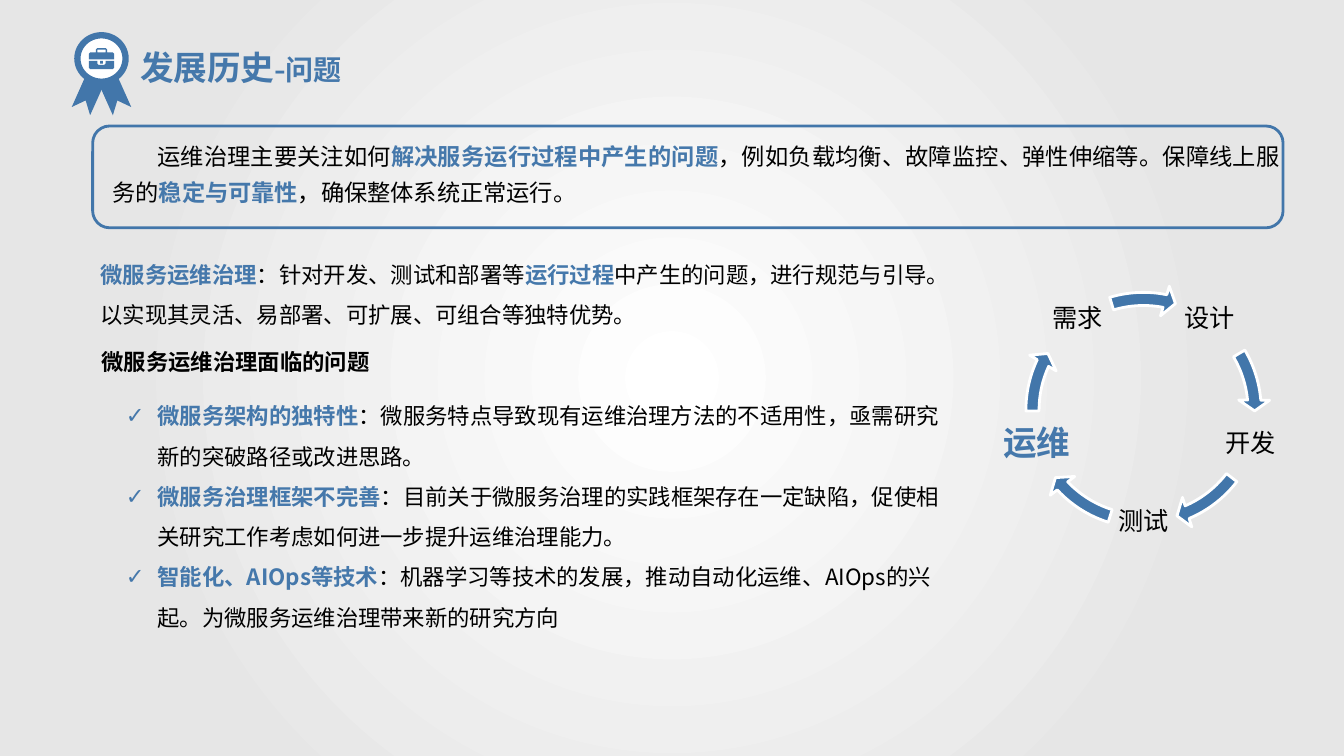
from math import cos, radians, sin

from lxml.etree import SubElement
from pptx import Presentation
from pptx.dml.color import RGBColor
from pptx.enum.shapes import MSO_SHAPE
from pptx.enum.text import MSO_ANCHOR, MSO_AUTO_SIZE, PP_ALIGN
from pptx.oxml.ns import qn
from pptx.util import Pt

BLUE = RGBColor(0x42, 0x76, 0xAA)
TEXT_BLUE = RGBColor(0x45, 0x78, 0xAB)
BLACK = RGBColor(0, 0, 0)
WHITE = RGBColor(0xFF, 0xFF, 0xFF)
GRAY = RGBColor(0xE6, 0xE6, 0xE6)
CJK = "Noto Sans CJK SC"
LATIN = "Times New Roman"

FRAME = {"word_wrap": True, "auto_size": MSO_AUTO_SIZE.NONE,
         "vertical_anchor": MSO_ANCHOR.TOP}
MARGINS = ("margin_left", "margin_top", "margin_right", "margin_bottom")


def apply(obj, formats):
    for name, value in formats.items():
        setattr(obj, name, value)


def points(*lengths):
    return [Pt(length) for length in lengths]


def add_run(p, text, size, color, bold, name=CJK):
    r = p.add_run()
    r.text = text
    apply(r.font, {"name": name, "size": Pt(size), "bold": bold})
    r.font.color.rgb = color
    SubElement(r.font._element, qn("a:ea"), typeface=CJK)


def add_mixed_runs(p, parts, size):
    """Add (text, highlighted) parts; highlighted ones are bold and blue."""
    for text, strong in parts:
        add_run(p, text, size, TEXT_BLUE if strong else BLACK, strong)


def add_textbox(shapes, box, **frame):
    tf = shapes.add_textbox(*points(*box)).text_frame
    apply(tf, {**FRAME, **frame})
    return tf.paragraphs[0]


def add_shape(shapes, kind, box, fill=None, line=None, width=0, adjust=()):
    sp = shapes.add_shape(kind, *points(*box))
    style_shape(sp, fill, line, width)
    for i, value in enumerate(adjust):
        sp.adjustments[i] = value
    return sp


def style_shape(sp, fill=None, line=None, width=0):
    sp.shadow.inherit = False
    if fill is None:
        sp.fill.background()
    else:
        sp.fill.solid()
        sp.fill.fore_color.rgb = fill
    if line is None:
        sp.line.fill.background()
    else:
        sp.line.color.rgb = line
        sp.line.width = Pt(width)


def set_background(slide):
    """Radial gradient, white in the middle."""
    fill = slide.background.fill
    fill.gradient()
    for stop, position, color in zip(fill.gradient_stops, (0, 0.73), (WHITE, GRAY)):
        stop.position = position
        stop.color.rgb = color
    grad = slide.background._cSld.find(".//" + qn("a:gradFill"))
    grad.remove(grad.find(qn("a:lin")))
    circle = SubElement(grad, qn("a:path"), path="circle")
    SubElement(circle, qn("a:fillToRect"), l="50000", t="50000", r="50000", b="50000")


def place_placeholder(sp, box, **frame):
    apply(sp, dict(zip(("left", "top", "width", "height"), points(*box))))
    apply(sp.text_frame, {**FRAME, **frame})


def add_title(slide, box):
    sp = slide.shapes.title
    place_placeholder(sp, box, vertical_anchor=MSO_ANCHOR.MIDDLE,
                      **dict.fromkeys(MARGINS, 0))
    p = sp.text_frame.paragraphs[0]
    p.alignment = PP_ALIGN.LEFT
    for text, size in (("发展历史-", 24), ("问题", 20)):
        add_run(p, text, size, TEXT_BLUE, True, LATIN)


def add_badge(slide, box):
    """Ribbon badge with a briefcase in its disc."""
    x, y, w, h = box
    group = slide.shapes.add_group_shape().shapes
    middle = x + w / 2
    for side, angle in ((1, 245.9), (-1, 294.1)):
        ribbon = add_shape(group, MSO_SHAPE.NOTCHED_RIGHT_ARROW,
                           (middle + side * 7.5 - 17.6, y + 30.9, 35.2, 14.4),
                           BLUE, adjust=(1, 0.58))
        ribbon.rotation = angle
    add_shape(group, MSO_SHAPE.OVAL, (middle - 17.2, y, 34.4, 33.2), WHITE, BLUE, 4.5)

    lid = [(0, 4.3), (1.4, 2.9), (5, 2.9), (5, 0.7), (6.5, 0), (11.5, 0),
           (13, 0.7), (13, 2.9), (16.6, 2.9), (18, 4.3), (18, 7.9), (0, 7.9)]
    case = [(0, 9.4), (6.5, 9.4), (6.5, 10.8), (7.2, 11.5), (10.8, 11.5),
            (11.5, 10.8), (11.5, 9.4), (18, 9.4), (18, 13.7), (16.6, 15.1),
            (1.4, 15.1), (0, 13.7)]
    handle = [(6.5, 1.4), (6.5, 2.9), (11.5, 2.9), (11.5, 1.4)]
    clasp = [(7.9, 9.4), (10.1, 9.4), (10.1, 10.8), (7.9, 10.8)]
    builder = group.build_freeform(*lid[0], scale=float(Pt(1)))
    builder.add_line_segments(lid[1:])
    for outline in (case, handle, clasp):
        builder.move_to(*outline[0])
        builder.add_line_segments(outline[1:])
    style_shape(builder.convert_to_shape(*points(middle - 9, y + 9.2)), BLUE)


def add_summary(slide, box):
    x, y, w, h = box
    sp = add_shape(slide.shapes, MSO_SHAPE.ROUNDED_RECTANGLE,
                   (x + 5.8, y + 0.7, w, h - 10.8), adjust=(0.073,))
    apply(sp.text_frame, {**FRAME, "vertical_anchor": MSO_ANCHOR.MIDDLE})
    p = sp.text_frame.paragraphs[0]
    apply(p, {"alignment": PP_ALIGN.JUSTIFY, "line_spacing": 1.3})
    p._p.get_or_add_pPr().set("indent", str(Pt(32)))
    add_mixed_runs(p, (
        ("运维治理主要关注如何", False),
        ("解决服务运行过程中产生的问题", True),
        ("，例如负载均衡、故障监控、弹性伸缩等。保障线上服务的", False),
        ("稳定与可靠性", True),
        ("，确保整体系统正常运行。", False)), 16.6)
    add_shape(slide.shapes, MSO_SHAPE.ROUNDED_RECTANGLE, box, line=BLUE, width=2)


def add_definition(slide, box):
    x, y, w, h = box
    p = add_textbox(slide.shapes, (x, y, w, 61.9))
    p.line_spacing = 1.5
    add_mixed_runs(p, (
        ("微服务运维治理", True),
        ("：针对开发、测试和部署等", False),
        ("运行过程", True),
        ("中产生的问题，进行规范与引导。以实现其灵活、易部署、可扩展、可组合等独特优势。",
         False)), 16)
    p = add_textbox(slide.shapes, (x + 0.7, y + 71.3, 221, 26.6))
    add_run(p, "微服务运维治理面临的问题", 16, BLACK, True)


def add_problems(slide, box):
    sp = slide.placeholders[1]
    place_placeholder(sp, box)
    tf = sp.text_frame
    problems = (
        ("微服务架构的独特性",
         "：微服务特点导致现有运维治理方法的不适用性，亟需研究新的突破路径或改进思路。"),
        ("微服务治理框架不完善",
         "：目前关于微服务治理的实践框架存在一定缺陷，促使相关研究工作考虑如何进一步提升运维治理能力。"),
        ("智能化、AIOps等技术",
         "：机器学习等技术的发展，推动自动化运维、AIOps的兴起。为微服务运维治理带来新的研究方向"))
    for i, (topic, detail) in enumerate(problems):
        p = tf.add_paragraph() if i else tf.paragraphs[0]
        apply(p, {"line_spacing": 1.5, "space_before": Pt(0)})
        pPr = p._p.get_or_add_pPr()
        pPr.set("marL", str(Pt(22.5)))
        pPr.set("indent", str(Pt(-22.5)))
        color = SubElement(pPr, qn("a:buClr"))
        SubElement(color, qn("a:srgbClr"), val=str(TEXT_BLUE))
        SubElement(pPr, qn("a:buChar"), char="✓")
        add_mixed_runs(p, ((topic, True), (detail, False)), 16)


def add_cycle(slide, box):
    """Five stages on a regular pentagon, with an arrow after each label."""
    x, y, w, h = box
    group = slide.shapes.add_group_shape().shapes
    radius, height = 80.2, 48.2
    stages = (("设计", 329.4, 354.9), ("开发", 37.5, 66.9), ("测试", 107.5, 136.9),
              ("运维", 179.5, 205), ("需求", 253.3, 281.1))
    for i, (stage, start, end) in enumerate(stages):
        strong = stage == "运维"
        width = 87.8 if strong else height
        angle = radians(72 * i - 54)
        left = x + w / 2 + radius * cos(angle) - width / 2
        top = y + h / 2 + radius * sin(angle) - height / 2
        p = add_textbox(group, (left, top, width, height),
                        vertical_anchor=MSO_ANCHOR.MIDDLE,
                        **dict.fromkeys(MARGINS, Pt(2.2)))
        apply(p, {"alignment": PP_ALIGN.CENTER, "line_spacing": 0.9})
        add_mixed_runs(p, ((stage, strong),), 24 if strong else 18)
        add_shape(group, MSO_SHAPE.CIRCULAR_ARROW, box, BLUE, WHITE, 2,
                  (0.052, 3.355, end * 0.6, start * 0.6, 0.061))


def main():
    prs = Presentation()
    apply(prs, {"slide_width": Pt(960), "slide_height": Pt(540)})
    slide = prs.slides.add_slide(prs.slide_layouts[1])
    set_background(slide)
    add_title(slide, (100, 23.8, 346.3, 48.2))
    add_badge(slide, (51, 25.2, 43, 57))
    add_summary(slide, (66.2, 90, 850.3, 72.7))
    add_definition(slide, (64.8, 173.5, 628.6, 98))
    add_cycle(slide, (726.5, 202.5, 180.7, 180.7))
    add_problems(slide, (82.8, 274.3, 600.5, 178.6))
    prs.save("out.pptx")


if __name__ == "__main__":
    main()
